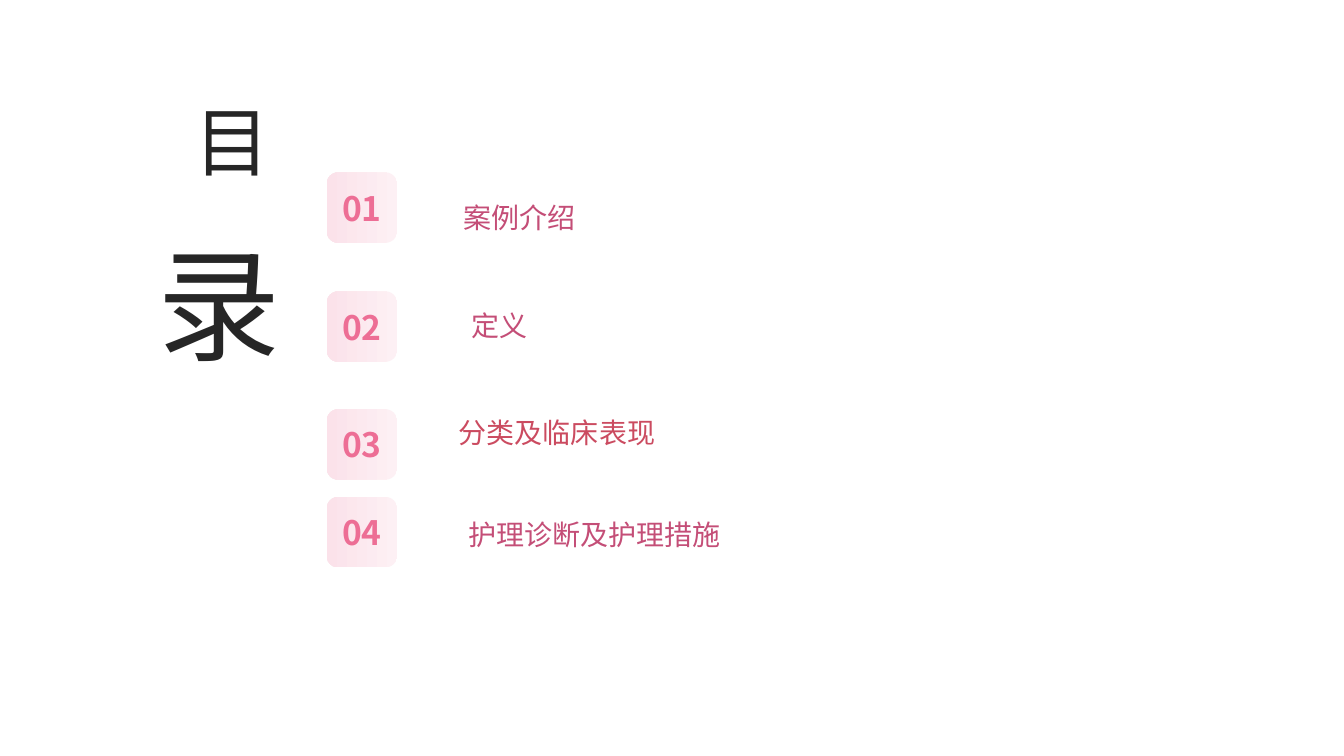
from pptx import Presentation
from pptx.dml.color import RGBColor
from pptx.enum.shapes import MSO_SHAPE as Shape
from pptx.enum.text import MSO_ANCHOR as Anchor, MSO_AUTO_SIZE as Fit, PP_ALIGN as Align
from pptx.oxml.ns import qn
from pptx.util import Inches, Pt
from lxml.etree import SubElement

CJK = "Noto Sans CJK SC"
ROSE = "C44E77"


def color(code):
    return RGBColor.from_string(code)


class Deck:
    pink = "ED6E95"
    dark = "262626"
    shades = ("FDF0F4", "FBE2EA")

    def __init__(self, slide):
        self.slide = slide

    def letter(self, frame, text, size, hue, face=CJK, bold=False, align=Align.CENTER):
        """Fill the frame with one styled paragraph and return that paragraph."""
        frame.text = text
        para = frame.paragraphs[0]
        para.alignment = align
        font = para.runs[0].font
        font.size, font.bold, font.name = Pt(size), bold, face
        font.color.rgb = color(hue)
        SubElement(para.runs[0]._r.get_or_add_rPr(), qn("a:ea"), typeface=CJK)
        return para

    def box(self, area):
        frame = self.slide.shapes.add_textbox(*map(Inches, area)).text_frame
        frame.word_wrap = True
        return frame

    def label(self, area, text, hue, grow):
        frame = self.box(area)
        frame.auto_size = Fit.SHAPE_TO_FIT_TEXT if grow else Fit.NONE
        self.letter(frame, text, 20, hue, "Arial").line_spacing = 1.2

    def title(self, area, text, size, space):
        """Add one large character set in vertical East Asian text."""
        frame = self.box(area)
        frame.vertical_anchor = Anchor.MIDDLE
        frame._txBody.bodyPr.set("vert", "eaVert")
        para = self.letter(frame, text, size, self.dark, align=Align.JUSTIFY)
        para.line_spacing = space

    def badge(self, left, top, side, text):
        shape = self.slide.shapes.add_shape(
            Shape.ROUNDED_RECTANGLE, *map(Inches, (left, top, side, side)))
        shape.shadow.inherit = False
        shape.line.fill.background()
        shape.fill.gradient()
        shape.fill.gradient_angle = 180
        for stop, hue in zip(shape.fill.gradient_stops, self.shades):
            stop.color.rgb = color(hue)
        frame = shape.text_frame
        frame.word_wrap = False
        frame.vertical_anchor = Anchor.MIDDLE
        self.letter(frame, text, 24, self.pink, bold=True)


def main():
    show = Presentation()
    show.slide_width, show.slide_height = Inches(13.33), Inches(7.5)
    deck = Deck(show.slides.add_slide(show.slide_layouts[6]))

    deck.title((2.1, 2.31, 1.53, 1.86), "录", 88, 2.0)
    deck.title((1.51, 0.93, 1.53, 1.21), "目", 54, 1.0)

    topics = [
        (1.71, (4.38, 1.87, 1.54, 0.5), "案例介绍", ROSE, True),
        (2.89, (3.82, 2.94, 2.27, 0.71), "定义", ROSE, False),
        (4.06, (4.11, 4.01, 2.83, 0.91), "分类及临床表现", "CB4B60", True),
        (4.93, (4.4, 5.02, 3, 0.5), "护理诊断及护理措施", ROSE, True),
    ]
    for num, (top, area, text, hue, grow) in enumerate(topics, 1):
        deck.label(area, text, hue, grow)
        deck.badge(3.24, top, 0.7, f"{num:02d}")

    show.save("out.pptx")


if __name__ == "__main__":
    main()
